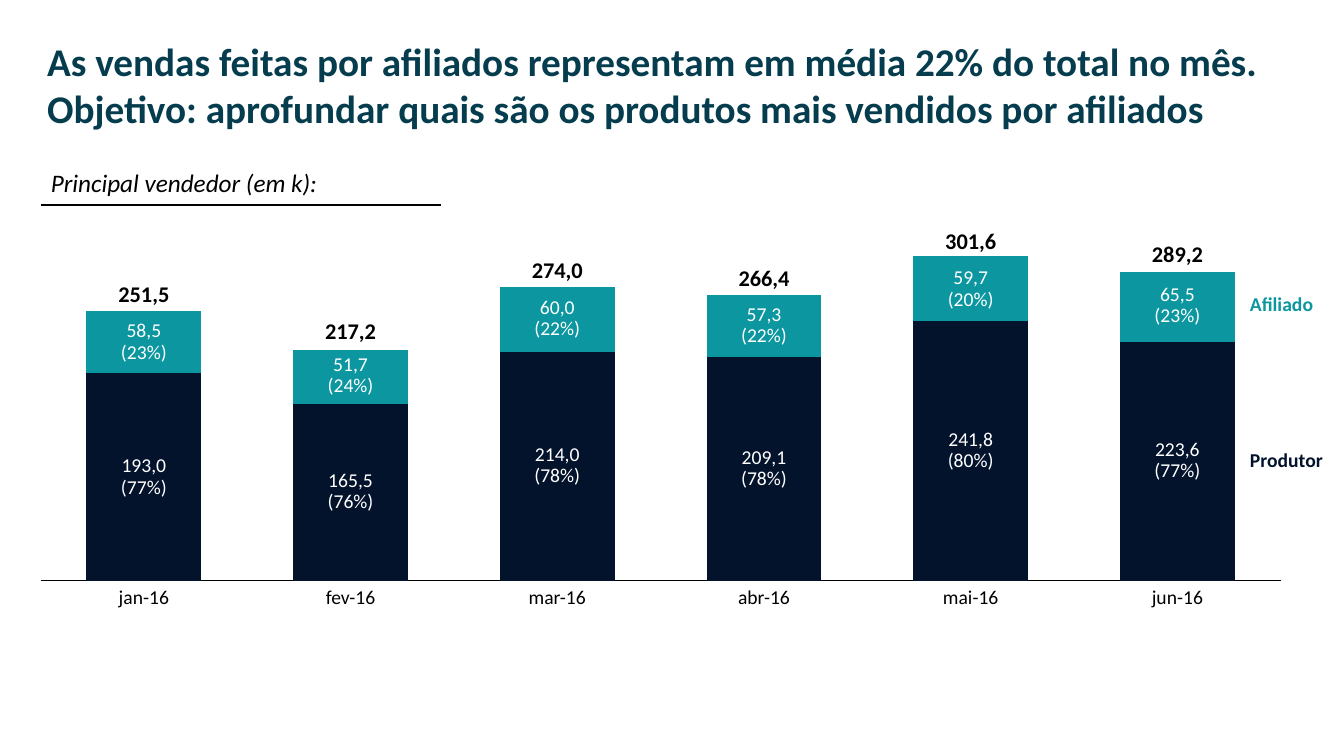
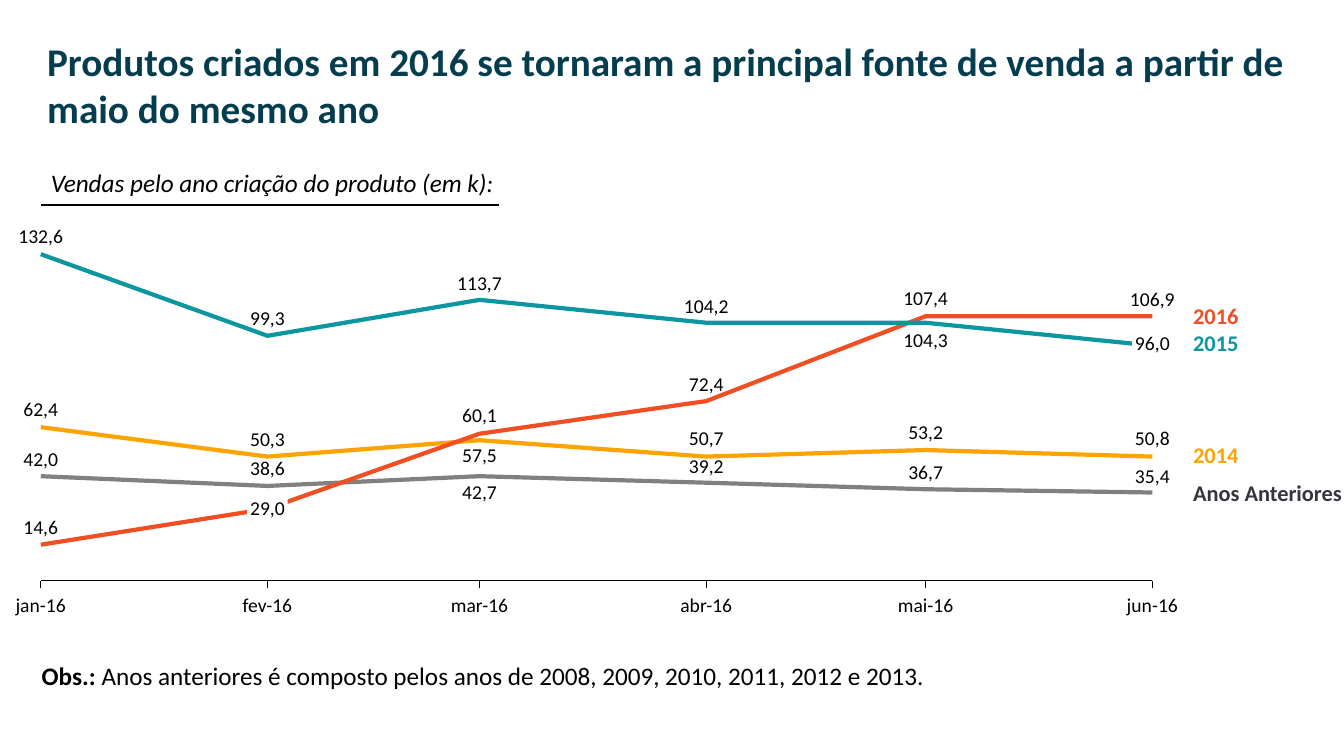
import dataclasses

import lxml.etree
import pptx
import pptx.chart.data
import pptx.dml.color
import pptx.enum.chart
import pptx.enum.shapes
import pptx.enum.text
import pptx.oxml.ns
import pptx.util

Cm = pptx.util.Cm
Pt = pptx.util.Pt
ALIGN = pptx.enum.text.PP_ALIGN
ANCHOR = pptx.enum.text.MSO_ANCHOR
CHART = pptx.enum.chart.XL_CHART_TYPE


@dataclasses.dataclass(frozen=True)
class Theme:
    """Colours, font and type sizes shared by the slides."""
    font: str = "Calibri"
    title: str = "053D4E"
    ink: str = "000000"
    paper: str = "FFFFFF"
    navy: str = "03132C"
    teal: str = "0B96A0"
    red: str = "F04E23"
    amber: str = "FDA302"
    grey: str = "808080"
    charcoal: str = "35353D"
    title_size: int = 28
    body_size: int = 18
    strong_size: int = 16
    label_size: int = 14
    chart_size: int = 10
    rule_width: float = 1.5
    axis_width: float = 0.75
    series_width: float = 3
    label_spacing: float = 0.9


@dataclasses.dataclass(frozen=True)
class Box:
    """A rectangle in centimetres."""
    x: float
    y: float
    w: float
    h: float

    def inner(self, fx, fy, fw, fh):
        """Return the part of the box given by fractions of its size."""
        return Box(self.x + fx * self.w, self.y + fy * self.h, fw * self.w, fh * self.h)

    def lengths(self):
        """Return the four sides as slide lengths."""
        return Cm(self.x), Cm(self.y), Cm(self.w), Cm(self.h)

    @property
    def bottom(self):
        """Return the lower edge."""
        return self.y + self.h


T = Theme()
MONTHS = ["jan-16", "fev-16", "mar-16", "abr-16", "mai-16", "jun-16"]
TITLE_BOX = Box(0.94, 0.81, 32, 2.64)
NOTE_BOX = Box(0.8, 16.51, 32, 1.02)
LABEL_W = 1.8
LINE_H = 0.53

PRODUCER = [193.0, 165.5, 214.0, 209.1, 241.8, 223.6]
AFFILIATE = [58.5, 51.7, 60.0, 57.3, 59.7, 65.5]
TOTALS = [251.5, 217.2, 274.0, 266.4, 301.6, 289.2]
PRODUCER_PEAK = 242

DAYS = [16801, 16832, 16861, 16892, 16922, 16953]
YEARS = [
    ("2015", [132.6, 99.3, 113.7, 104.2, 104.3, 96.0], T.teal, T.teal, "aaaabm"),
    ("2016", [14.6, 29.0, 60.1, 72.4, 107.4, 106.9], T.red, T.red, "amaaaa"),
    ("2014", [62.4, 50.3, 57.5, 50.7, 53.2, 50.8], T.amber, T.amber, "aabaaa"),
    ("Anos Anteriores", [42.0, 38.6, 42.7, 39.2, 36.7, 35.4], T.grey, T.charcoal, "aabaaa"),
]


def rgb(color):
    """Turn a hex string into a colour."""
    return pptx.dml.color.RGBColor.from_string(color)


def number(value):
    """Write a value with one decimal and a comma."""
    return f"{value:.1f}".replace(".", ",")


def indexed(values, peak):
    """Scale values so that the peak becomes 100, as whole numbers."""
    return [round(100 * v / peak) for v in values]


def add_run(p, text, size, color, bold=False, italic=False):
    """Add one styled run to a paragraph."""
    r = p.add_run()
    r.text = text
    r.font.name, r.font.size = T.font, Pt(size)
    r.font.bold, r.font.italic = bold, italic
    r.font.color.rgb = rgb(color)


def add_text(slide, box, runs):
    """Add a wrapped text box from (text, size, colour, bold, italic) runs."""
    tf = slide.shapes.add_textbox(*box.lengths()).text_frame
    tf.word_wrap = True
    for run in runs:
        add_run(tf.paragraphs[0], *run)


def add_label(slide, box, text, color=T.ink, size=T.label_size, bold=False,
              align=ALIGN.CENTER, anchor=ANCHOR.MIDDLE, fill=None):
    """Add a tight chart label, on a filled rectangle if a fill is given."""
    if fill:
        sp = slide.shapes.add_shape(pptx.enum.shapes.MSO_SHAPE.RECTANGLE, *box.lengths())
        sp.shadow.inherit = False
        sp.fill.solid()
        sp.fill.fore_color.rgb = rgb(fill)
        sp.line.fill.background()
    else:
        sp = slide.shapes.add_textbox(*box.lengths())
    tf = sp.text_frame
    tf.word_wrap = True
    tf.vertical_anchor = anchor
    tf.margin_left = tf.margin_right = tf.margin_top = tf.margin_bottom = 0
    p = tf.paragraphs[0]
    p.alignment, p.line_spacing = align, T.label_spacing
    for i, line in enumerate(text.split("\n")):
        if i:
            p.add_line_break()
        add_run(p, line, size, color, bold)


def add_line(slide, x1, y1, x2, y2, width):
    """Add a straight line without shadow."""
    c = slide.shapes.add_connector(pptx.enum.shapes.MSO_CONNECTOR.STRAIGHT,
                                   Cm(x1), Cm(y1), Cm(x2), Cm(y2))
    c.line.color.rgb, c.line.width = rgb(T.ink), Pt(width)
    lxml.etree.SubElement(c._element.spPr, pptx.oxml.ns.qn("a:effectLst"))


def add_heading(slide, title, subtitle, rule_w):
    """Add the title and the underlined subtitle."""
    add_text(slide, TITLE_BOX, [(title, T.title_size, T.title, True)])
    box = Box(1.03, 4.09, rule_w + 0.2, 1.02)
    add_text(slide, box, [(subtitle, T.body_size, T.ink, False, True)])
    add_line(slide, box.x, 5.16, box.x + rule_w, 5.16, T.rule_width)


def add_chart(slide, box, kind, data, layout, peak):
    """Add a chart with only a base line and a fixed inner plot area."""
    chart = slide.shapes.add_chart(kind, *box.lengths(), data).chart
    chart.has_title = chart.has_legend = False
    chart.font.name, chart.font.size = T.font, Pt(T.chart_size)
    chart.font.color.rgb = rgb(T.ink)
    value, base = chart.value_axis, chart.category_axis
    value.minimum_scale, value.maximum_scale = 0, peak
    value.visible = False
    value.has_major_gridlines = base.has_major_gridlines = False
    base.tick_label_position = pptx.enum.chart.XL_TICK_LABEL_POSITION.NONE
    base.major_tick_mark = base.minor_tick_mark = pptx.enum.chart.XL_TICK_MARK.NONE
    base.format.line.color.rgb = rgb(T.ink)
    base.format.line.width = Pt(T.axis_width)
    qn = pptx.oxml.ns.qn
    area = chart._chartSpace.find(".//" + qn("c:plotArea"))
    for old in area.findall(qn("c:layout")):
        area.remove(old)
    node = lxml.etree.Element(qn("c:layout"))
    manual = lxml.etree.SubElement(node, qn("c:manualLayout"))
    settings = [("layoutTarget", "inner"), ("xMode", "edge"), ("yMode", "edge")]
    for tag, val in settings + list(zip("xywh", layout)):
        lxml.etree.SubElement(manual, qn("c:" + tag)).set("val", str(val))
    area.insert(0, node)
    return chart


def add_stacked_columns(slide, box):
    """Draw producer and affiliate sales as labelled stacked columns."""
    layout, top = (0.007, 0.027, 0.986, 0.947), 125
    parts = [("Produtor", PRODUCER, T.navy), ("Afiliado", AFFILIATE, T.teal)]
    data = pptx.chart.data.CategoryChartData()
    data.categories = MONTHS
    for name, values, _ in parts:
        data.add_series(name, indexed(values, PRODUCER_PEAK))
    chart = add_chart(slide, box, CHART.COLUMN_STACKED, data, layout, top)
    bars = chart.plots[0]
    bars.gap_width, bars.overlap, bars.vary_by_categories = 80, 100, False
    for series, part in zip(bars.series, parts):
        series.format.fill.solid()
        series.format.fill.fore_color.rgb = rgb(part[2])

    plot = box.inner(*layout)
    step = plot.w / len(MONTHS)
    unit = plot.h * 100 / (top * PRODUCER_PEAK)
    for i, (month, total) in enumerate(zip(MONTHS, TOTALS)):
        x = plot.x + (i + 0.5) * step - LABEL_W / 2
        y = plot.bottom
        add_label(slide, Box(x, y + 0.18, LABEL_W, LINE_H), month)
        for name, values, color in parts:
            h = values[i] * unit
            middle = y - h / 2
            add_label(slide, Box(x, middle - LINE_H, LABEL_W, 2 * LINE_H),
                      f"{number(values[i])}\n({values[i] / total:.0%})", T.paper)
            if month == MONTHS[-1]:
                add_label(slide, Box(31.5, middle - LINE_H / 2, 2.2, LINE_H), name,
                          color, bold=True, align=ALIGN.LEFT)
            y -= h
        add_label(slide, Box(x, y - 0.69, LABEL_W, 0.61), number(total),
                  size=T.strong_size, bold=True, anchor=ANCHOR.BOTTOM)


def add_year_lines(slide, box):
    """Draw sales by year of creation as labelled lines."""
    layout, peak = (0.008, 0.026, 0.984, 0.947), max(YEARS[0][1])
    data = pptx.chart.data.XyChartData()
    for name, values, *_ in YEARS:
        series = data.add_series(name)
        for day, value in zip(DAYS, indexed(values, peak)):
            series.add_data_point(day, value)
    chart = add_chart(slide, box, CHART.XY_SCATTER_LINES_NO_MARKERS, data, layout, 100)
    chart.plots[0].vary_by_categories = False
    chart.category_axis.minimum_scale = DAYS[0]
    chart.category_axis.maximum_scale = DAYS[-1]
    for series, year in zip(chart.plots[0].series, YEARS):
        series.smooth = False
        series.format.line.color.rgb = rgb(year[2])
        series.format.line.width = Pt(T.series_width)

    plot = box.inner(*layout)
    xs = [plot.x + plot.w * (d - DAYS[0]) / (DAYS[-1] - DAYS[0]) for d in DAYS]
    for x, month in zip(xs, MONTHS):
        add_line(slide, x, plot.bottom, x, plot.bottom + 0.18, T.axis_width)
        add_label(slide, Box(x - LABEL_W / 2, plot.bottom + 0.38, LABEL_W, LINE_H), month)
    offsets = {"a": -0.16 - LINE_H, "b": 0.17, "m": -LINE_H / 2}
    for name, values, _, color, places in YEARS:
        for x, value, place in zip(xs, values, places):
            y = plot.bottom - plot.h * value / peak
            w = 1.02 if value < 100 else 1.4
            add_label(slide, Box(x - w / 2, y + offsets[place], w, LINE_H), number(value),
                      fill=T.paper if place == "m" else None)
        add_label(slide, Box(30.07, y - 0.3, 3.8, 0.61), name, color,
                  T.strong_size, True, ALIGN.LEFT)


def affiliate_slide(slide):
    """Build the slide on affiliate sales."""
    add_heading(slide, "As vendas feitas por afiliados representam em média 22% do total no mês. "
                "Objetivo: aprofundar quais são os produtos mais vendidos por afiliados",
                "Principal vendedor (em k):", 10.08)
    add_stacked_columns(slide, Box(0.8, 6.22, 31.7, 8.64))


def year_slide(slide):
    """Build the slide on sales by year of creation."""
    add_heading(slide, "Produtos criados em 2016 se tornaram a principal fonte de venda "
                "a partir de maio do mesmo ano",
                "Vendas pelo ano criação do produto (em k):", 11.55)
    add_year_lines(slide, Box(0.8, 6.18, 28.47, 8.69))
    add_text(slide, NOTE_BOX, [
        ("Obs.: ", T.body_size, T.ink, True),
        ("Anos anteriores é composto pelos anos de 2008, 2009, 2010, 2011, 2012 e 2013.",
         T.body_size, T.ink)])


def main():
    """Build and save the presentation."""
    prs = pptx.Presentation()
    prs.slide_width, prs.slide_height = Cm(33.87), Cm(19.05)
    for build in (affiliate_slide, year_slide):
        build(prs.slides.add_slide(prs.slide_layouts[6]))
    prs.save("out.pptx")


if __name__ == "__main__":
    main()
